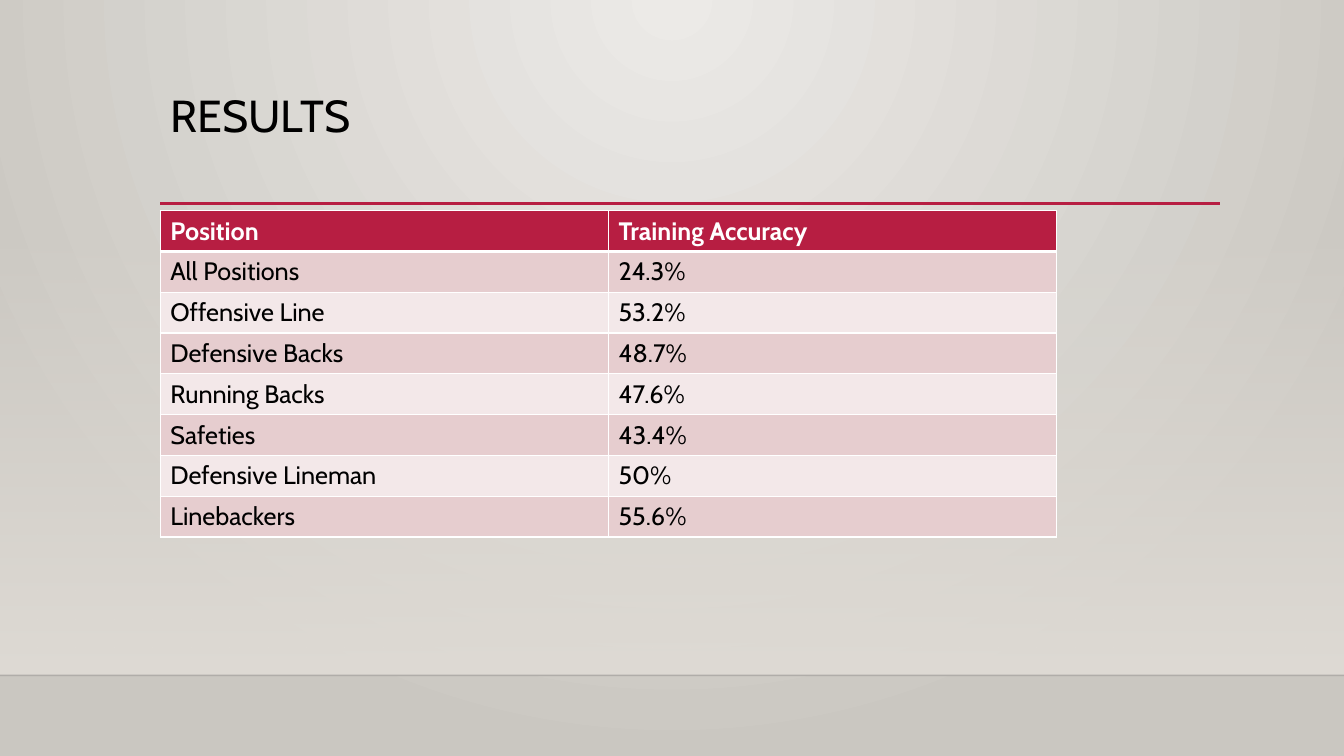
from dataclasses import dataclass

from pptx import Presentation
from pptx import util as u
from pptx.dml import color, fill as dml_fill
from pptx.enum import shapes, text
from pptx.oxml import parse_xml, ns
from pptx.oxml.xmlchemy import BaseOxmlElement
from pptx.slide import Slide
from pptx.table import _Cell as Cell

FONT = "Cabin"
COLORS = {
    "glow": "ECEAE7",
    "edge": "CAC7C1",
    "wall": "DFDBD5",
    "floor": "000001",
    "accent": "B71E42",
    "odd": "E6CDCF",
    "even": "F3E8E9",
    "white": "FFFFFF",
    "black": "000000",
}


@dataclass(frozen=True)
class Rule:
    left: float
    right: float
    top: float
    color: str
    width: float
    opacity: int = 100


@dataclass(frozen=True)
class Result:
    position: str
    accuracy: str


RULES = [
    Rule(0, 13.33, 6.7, "floor", 1, 20),
    Rule(1.59, 12.1, 2.02, "accent", 2.5),
]
RESULTS = [
    Result("Position", "Training Accuracy"),
    Result("All Positions", "24.3%"),
    Result("Offensive Line", "53.2%"),
    Result("Defensive Backs", "48.7%"),
    Result("Running Backs", "47.6%"),
    Result("Safeties", "43.4%"),
    Result("Defensive Lineman", "50%"),
    Result("Linebackers", "55.6%"),
]


def rgb(name: str) -> color.RGBColor:
    return color.RGBColor.from_string(COLORS[name])


def element(markup: str) -> BaseOxmlElement:
    tag, rest = markup[1:].split(" ", 1)
    return parse_xml(f"<{tag} {ns.nsdecls('a')} {rest}")


def set_opacity(parent: BaseOxmlElement, percent: int) -> None:
    solid = parent.xpath(".//a:srgbClr")[0]
    solid.append(element(f'<a:alpha val="{percent * 1000}"/>'))


def set_gradient(area: dml_fill.FillFormat, start: str, end: str) -> None:
    area.gradient()
    for stop, name, place in zip(area.gradient_stops, (start, end), (0, 1)):
        stop.color.rgb = rgb(name)
        stop.position = place


def draw_backdrop(slide: Slide) -> None:
    set_gradient(slide.background.fill, "glow", "edge")
    linear = slide.element.xpath(".//p:bg//a:lin")[0]
    linear.getparent().replace(linear, element(
        '<a:path path="circle"><a:fillToRect l="43000" t="0" r="43000" b="100000"/></a:path>'))

    wall = slide.shapes.add_shape(
        shapes.MSO_SHAPE.RECTANGLE, 0, u.Inches(2.21), u.Inches(13.33), u.Inches(4.49))
    wall.shadow.inherit = False
    wall.line.fill.background()
    set_gradient(wall.fill, "wall", "wall")
    wall.fill.gradient_angle = 270
    set_opacity(wall.element.xpath(".//a:gs")[0], 0)


def draw_rule(slide: Slide, rule: Rule) -> None:
    line = slide.shapes.add_connector(
        shapes.MSO_CONNECTOR.STRAIGHT, u.Inches(rule.left), u.Inches(rule.top),
        u.Inches(rule.right), u.Inches(rule.top))
    line.line.color.rgb = rgb(rule.color)
    line.line.width = u.Pt(rule.width)
    if rule.opacity < 100:
        set_opacity(line.element.spPr, rule.opacity)
    line.element.spPr.append(element("<a:effectLst />"))


def draw_title(slide: Slide, wording: str) -> None:
    title = slide.shapes.add_textbox(
        u.Inches(1.59), u.Inches(0.88), u.Inches(10.5), u.Inches(1.15))
    title.text_frame.word_wrap = True
    title.text_frame.vertical_anchor = text.MSO_ANCHOR.TOP
    heading = title.text_frame.paragraphs[0]
    heading.text = wording
    heading.line_spacing = 0.9
    heading.font.name = FONT
    heading.font.size = u.Pt(32)
    heading.font.color.rgb = rgb("black")


def fill_cell(cell: Cell, wording: str, row: int) -> None:
    header = row == 0
    properties = cell._tc.get_or_add_tcPr()
    for side in "LRTB":
        heavy = (header and side == "B") or (row == 1 and side == "T")
        width = u.Pt(3 if heavy else 1)
        properties.append(element(
            f'<a:ln{side} w="{width}"><a:solidFill><a:srgbClr val="{COLORS["white"]}"/>'
            f'</a:solidFill></a:ln{side}>'))
    cell.fill.solid()
    cell.fill.fore_color.rgb = rgb("accent" if header else "odd" if row % 2 else "even")
    label = cell.text_frame.paragraphs[0]
    label.text = wording
    label.font.name = FONT
    label.font.size = u.Pt(18)
    label.font.bold = header
    label.font.color.rgb = rgb("white" if header else "black")


def draw_results(slide: Slide, results: list[Result]) -> None:
    table = slide.shapes.add_table(
        len(results), 2, u.Inches(1.59), u.Inches(2.09),
        u.Inches(8.89), u.Inches(3.24)).table
    for row, result in enumerate(results):
        for column, wording in enumerate((result.position, result.accuracy)):
            fill_cell(table.cell(row, column), wording, row)


def main() -> None:
    deck = Presentation()
    deck.slide_width, deck.slide_height = u.Inches(13.33), u.Inches(7.5)
    slide = deck.slides.add_slide(deck.slide_layouts[6])
    draw_backdrop(slide)
    for rule in RULES:
        draw_rule(slide, rule)
    draw_title(slide, "RESULTS")
    draw_results(slide, RESULTS)
    deck.save("out.pptx")


if __name__ == "__main__":
    main()
